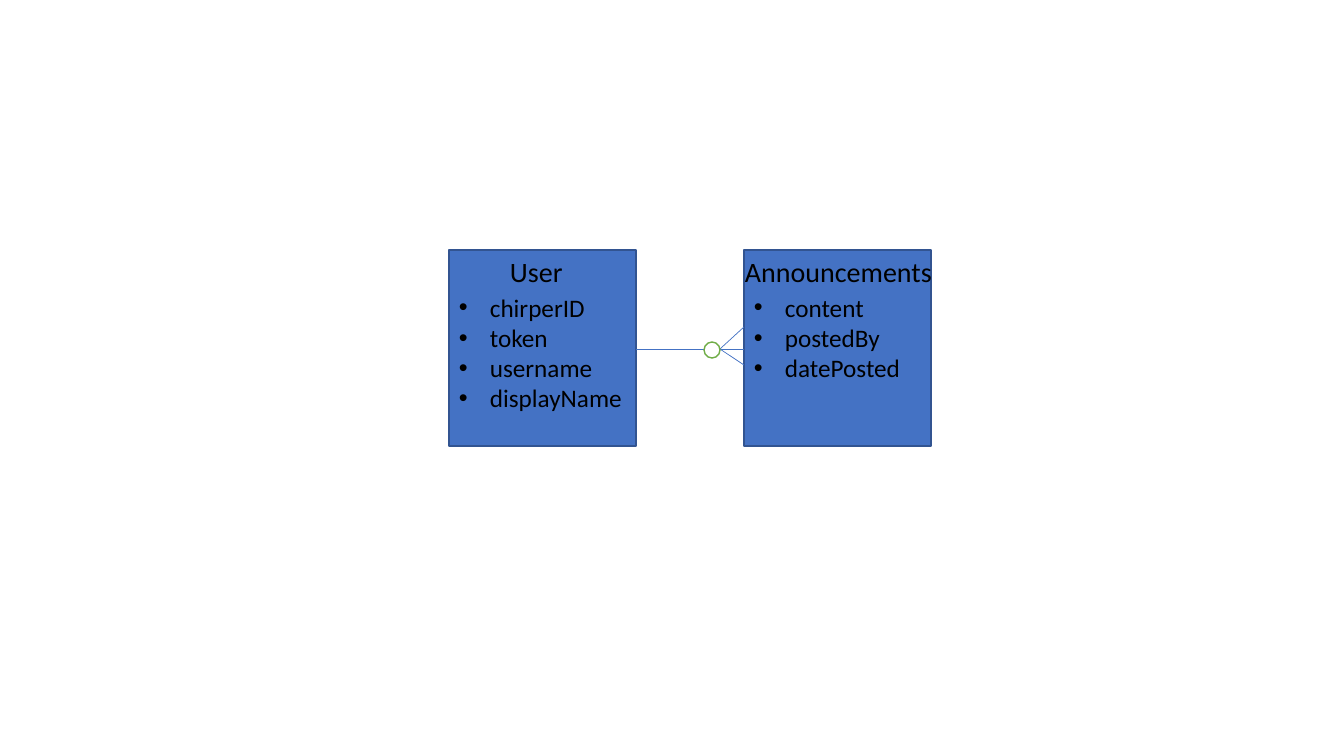
import dataclasses

import pptx
import pptx.dml.color
import pptx.enum.shapes
import pptx.enum.text
import pptx.oxml.ns
import pptx.util
from lxml import etree

EMU_PER_PIXEL = 914400 / 100.8


@dataclasses.dataclass(frozen=True)
class Theme:
    font: str = "Calibri"
    title_size: int = 20
    field_size: int = 18
    text: str = "000000"
    entity_fill: str = "4472C4"
    entity_line: str = "325491"
    relation_line: str = "4472C4"
    optional_fill: str = "FFFFFF"
    optional_line: str = "70AD47"
    outline_width: float = 1
    relation_width: float = 0.5


THEME = Theme()


def px(*lengths):
    return [pptx.util.Emu(round(length * EMU_PER_PIXEL)) for length in lengths]


def rgb(code):
    return pptx.dml.color.RGBColor.from_string(code)


def add_outlined(slide, preset, box, fill, line):
    outlined = slide.shapes.add_shape(preset, *px(*box))
    outlined.shadow.inherit = False
    outlined.fill.solid()
    outlined.fill.fore_color.rgb = rgb(fill)
    outlined.line.color.rgb = rgb(line)
    outlined.line.width = pptx.util.Pt(THEME.outline_width)


def add_text(slide, box, lines, size):
    frame = slide.shapes.add_textbox(*px(*box)).text_frame
    frame.word_wrap = True
    frame.text = "\n".join(lines)
    for paragraph in frame.paragraphs:
        paragraph.alignment = pptx.enum.text.PP_ALIGN.LEFT
        font = paragraph.runs[0].font
        font.name = THEME.font
        font.size = pptx.util.Pt(size)
        font.color.rgb = rgb(THEME.text)
    return frame


def add_bullet(paragraph):
    indent, = px(31)
    properties = paragraph._p.get_or_add_pPr()
    properties.set("marL", str(indent))
    properties.set("indent", str(-indent))
    for tag, attribute, setting in (("a:buFont", "typeface", "Arial"), ("a:buChar", "char", "•")):
        bullet = etree.SubElement(properties, pptx.oxml.ns.qn(tag))
        bullet.set(attribute, setting)


def draw_entity(slide, box, title, title_offset, title_width, fields):
    left, top, width, height = box
    add_outlined(slide, pptx.enum.shapes.MSO_SHAPE.RECTANGLE, box,
                 THEME.entity_fill, THEME.entity_line)
    add_text(slide, (left + title_offset, top, title_width, 44), [title], THEME.title_size)
    field_list = add_text(slide, (left, top + 37, width, height - 37), fields, THEME.field_size)
    for paragraph in field_list.paragraphs:
        add_bullet(paragraph)


def draw_relation(slide, box):
    left, top, width, height = box
    right, middle = left + width, top + 22
    fork, ring = right - 24, 16
    strokes = (
        (left, middle, right, middle),
        (fork, middle, right, top + height),
        (right, top, fork, middle),
    )
    for ends in strokes:
        stroke = slide.shapes.add_connector(pptx.enum.shapes.MSO_CONNECTOR.STRAIGHT, *px(*ends))
        stroke.line.color.rgb = rgb(THEME.relation_line)
        stroke.line.width = pptx.util.Pt(THEME.relation_width)
        etree.SubElement(stroke._element.spPr, pptx.oxml.ns.qn("a:effectLst"))
    add_outlined(slide, pptx.enum.shapes.MSO_SHAPE.OVAL,
                 (fork - ring, middle - ring // 2 + 1, ring, ring),
                 THEME.optional_fill, THEME.optional_line)


def main():
    presentation = pptx.Presentation()
    presentation.slide_width, presentation.slide_height = px(1344, 756)
    slide = presentation.slides.add_slide(presentation.slide_layouts[6])
    draw_entity(slide, (449, 250, 187, 196), "User", 51, 93,
                ["chirperID", "token", "username", "displayName"])
    draw_entity(slide, (744, 250, 187, 196), "Announcements", -9, 208,
                ["content", "postedBy", "datePosted"])
    draw_relation(slide, (636, 327, 108, 38))
    presentation.save("out.pptx")


main()
